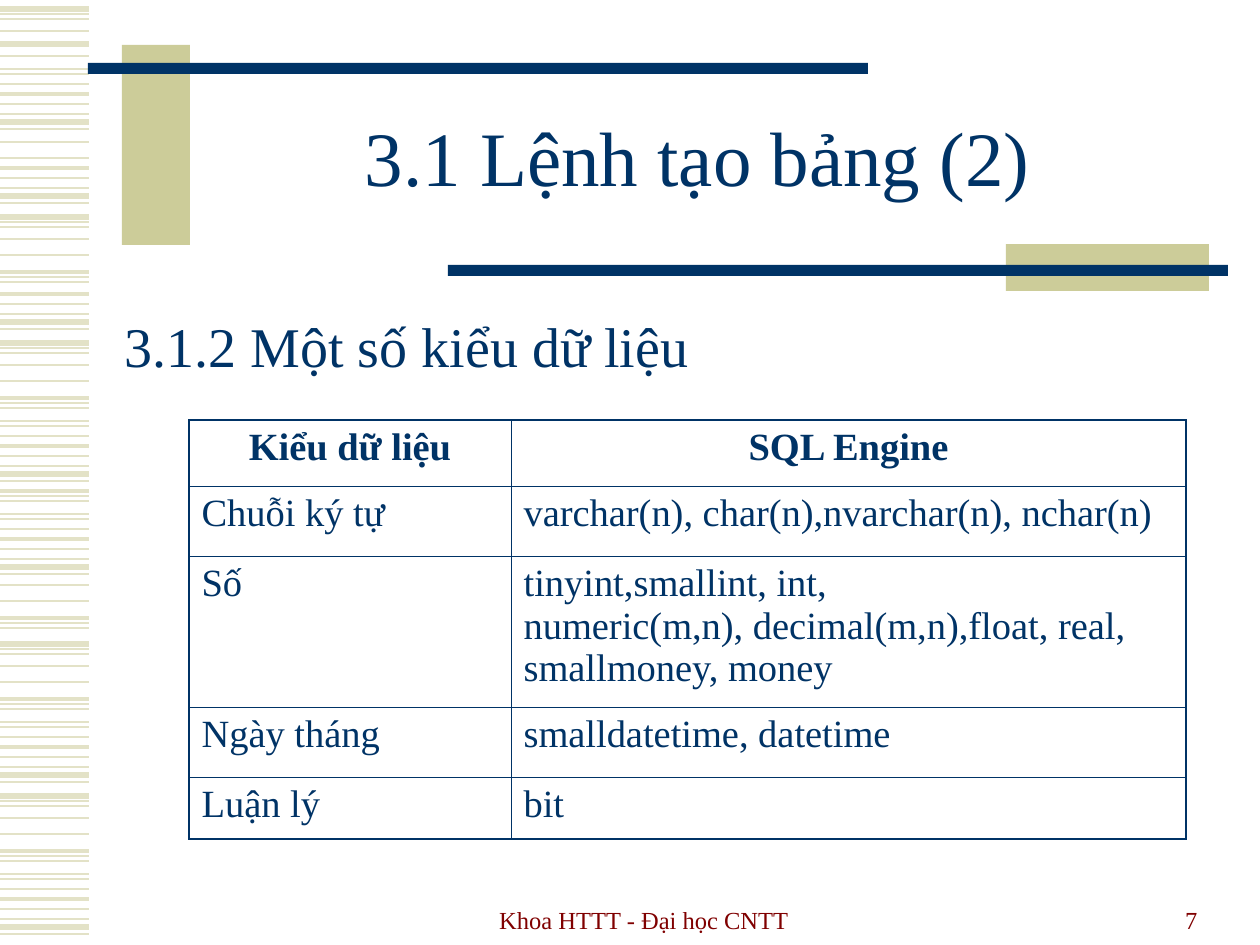
from lxml import etree
from pptx import Presentation
from pptx.dml.color import RGBColor
from pptx.enum.shapes import MSO_CONNECTOR, MSO_SHAPE
from pptx.enum.text import MSO_ANCHOR, MSO_AUTO_SIZE, PP_ALIGN
from pptx.oxml.ns import qn
from pptx.util import Emu, Pt

STRAIGHT = MSO_CONNECTOR.STRAIGHT
RECTANGLE = MSO_SHAPE.RECTANGLE
TOP, MIDDLE, BOTTOM = MSO_ANCHOR.TOP, MSO_ANCHOR.MIDDLE, MSO_ANCHOR.BOTTOM
LEFT, CENTER, RIGHT = PP_ALIGN.LEFT, PP_ALIGN.CENTER, PP_ALIGN.RIGHT
NO_AUTOFIT = MSO_AUTO_SIZE.NONE

PX_PER_INCH = 126
FONT = "Times New Roman"
COLORS = {"navy": "003366", "khaki": "CCCC99", "stripe": "E3E2C7", "maroon": "800000"}

STRIPE_MOTIF = [
    (0, 3), (5, 0.75), (10, 1), (22, 1), (38, 1), (55, 2.25), (60, 0.75), (65, 1.5),
    (78, 0.75), (83, 1.5), (93, 1), (103, 2.25), (113, 1.5), (123, 0.75), (131, 3), (138, 1.5),
]
STRIPE_BANDS = [
    (9, 0, 4), (44, 0, 1), (-9, 7, 16), (120, 3, 5), (65, 11, 16), (217, 0, 8),
    (191, 11, 16), (343, 0, 16), (436, 5, 16), (563, 3, 8), (644, 0, 16), (796, 0, 16),
]
STRIPE_LENGTH = 89

BARS = [
    ((122, 45, 68, 200), "khaki"),
    ((88, 63, 780, 11), "navy"),
    ((1006, 244, 203, 47), "khaki"),
    ((448, 265, 780, 11), "navy"),
]

DATA_TYPES = [
    ("Kiểu dữ liệu", "SQL Engine"),
    ("Chuỗi ký tự", "varchar(n), char(n),nvarchar(n), nchar(n)"),
    ("Số", "tinyint,smallint, int,\nnumeric(m,n), decimal(m,n),float, real, \nsmallmoney, money"),
    ("Ngày tháng", "smalldatetime, datetime"),
    ("Luận lý", "bit"),
]
COLUMN_WIDTHS = [322, 675]
ROW_HEIGHTS = [66, 70, 151, 70, 62]
OUTER_BORDER, INNER_BORDER = 1.08, 0.45


def px(length):
    return Emu(round(length * 914400 / PX_PER_INCH))


def rgb(name):
    return RGBColor.from_string(COLORS[name])


def add_runs(paragraph, wording, size, color, bold=False):
    for index, line in enumerate(wording.split("\n")):
        if index:
            paragraph.add_line_break()
        run = paragraph.add_run()
        run.text = line
        run.font.name = FONT
        run.font.size = Pt(size)
        run.font.bold = bold
        run.font.color.rgb = rgb(color)


def add_stripe(slide, y, weight):
    stripe = slide.shapes.add_connector(STRAIGHT, 0, px(y), px(STRIPE_LENGTH), px(y))
    stripe.line.color.rgb = rgb("stripe")
    stripe.line.width = Pt(weight)
    etree.SubElement(stripe._element.spPr, qn("a:effectLst"))


def add_stripes(slide):
    for base, first, last in STRIPE_BANDS:
        for offset, weight in STRIPE_MOTIF[first:last]:
            add_stripe(slide, base + offset, weight)


def add_bar(slide, box, color):
    bar = slide.shapes.add_shape(RECTANGLE, *map(px, box))
    bar.shadow.inherit = False
    bar.fill.solid()
    bar.fill.fore_color.rgb = rgb(color)
    bar.line.fill.background()


def fill_text(holder, box, wording, size, color, align, anchor):
    holder.left, holder.top, holder.width, holder.height = map(px, box)
    frame = holder.text_frame
    frame.word_wrap = True
    frame.auto_size = NO_AUTOFIT
    frame.vertical_anchor = anchor
    paragraph = frame.paragraphs[0]
    paragraph.alignment = align
    paragraph.space_before = Pt(0)
    add_runs(paragraph, wording, size, color)
    return paragraph


def add_footer(slide, box, wording, align):
    footer = slide.shapes.add_textbox(*map(px, box))
    fill_text(footer, box, wording, 14, "maroon", align, BOTTOM)


def remove_bullet(paragraph, indent):
    properties = paragraph._p.get_or_add_pPr()
    properties.set("marL", str(px(indent)))
    properties.set("indent", str(-px(indent)))
    etree.SubElement(properties, qn("a:buNone"))


def set_borders(cell, outer_sides):
    properties = cell._tc.get_or_add_tcPr()
    for side in "LRTB":
        weight = OUTER_BORDER if side in outer_sides else INNER_BORDER
        border = etree.SubElement(properties, qn(f"a:ln{side}"), w=str(Pt(weight)))
        fill = etree.SubElement(border, qn("a:solidFill"))
        etree.SubElement(fill, qn("a:srgbClr"), val=COLORS["navy"])


def add_type_table(slide):
    row_count, column_count = len(DATA_TYPES), len(COLUMN_WIDTHS)
    frame = slide.shapes.add_table(
        row_count, column_count, px(189), px(420), px(sum(COLUMN_WIDTHS)), px(sum(ROW_HEIGHTS))
    )
    table = frame.table
    table.first_row = False
    table.horz_banding = False
    for column, width in zip(table.columns, COLUMN_WIDTHS):
        column.width = px(width)
    for r, (row, wordings) in enumerate(zip(table.rows, DATA_TYPES)):
        row.height = px(ROW_HEIGHTS[r])
        for c, wording in enumerate(wordings):
            cell = table.cell(r, c)
            outer_sides = "LR"[c] + {0: "T", row_count - 1: "B"}.get(r, "")
            set_borders(cell, outer_sides)
            cell.fill.background()
            paragraph = cell.text_frame.paragraphs[0]
            paragraph.alignment = LEFT if r else CENTER
            add_runs(paragraph, wording, 22, "navy", bold=r == 0)


def main():
    deck = Presentation()
    deck.slide_width, deck.slide_height = px(1260), px(945)
    slide = deck.slides.add_slide(deck.slide_layouts[1])

    add_stripes(slide)
    for box, color in BARS:
        add_bar(slide, box, color)
    add_type_table(slide)

    title = fill_text(
        slide.shapes.title, (189, 84, 1017, 158), "3.1 Lệnh tạo bảng (2)", 44, "navy", CENTER, MIDDLE
    )
    title.line_spacing = 0.85
    heading = fill_text(
        slide.placeholders[1], (112, 305, 1096, 534), "3.1.2 Một số kiểu dữ liệu", 32, "navy", LEFT, TOP
    )
    remove_bullet(heading, 48)

    add_footer(slide, (431, 878, 426, 63), "Khoa HTTT - Đại học CNTT", CENTER)
    add_footer(slide, (908, 878, 302, 63), "7", RIGHT)
    deck.save("out.pptx")


if __name__ == "__main__":
    main()
